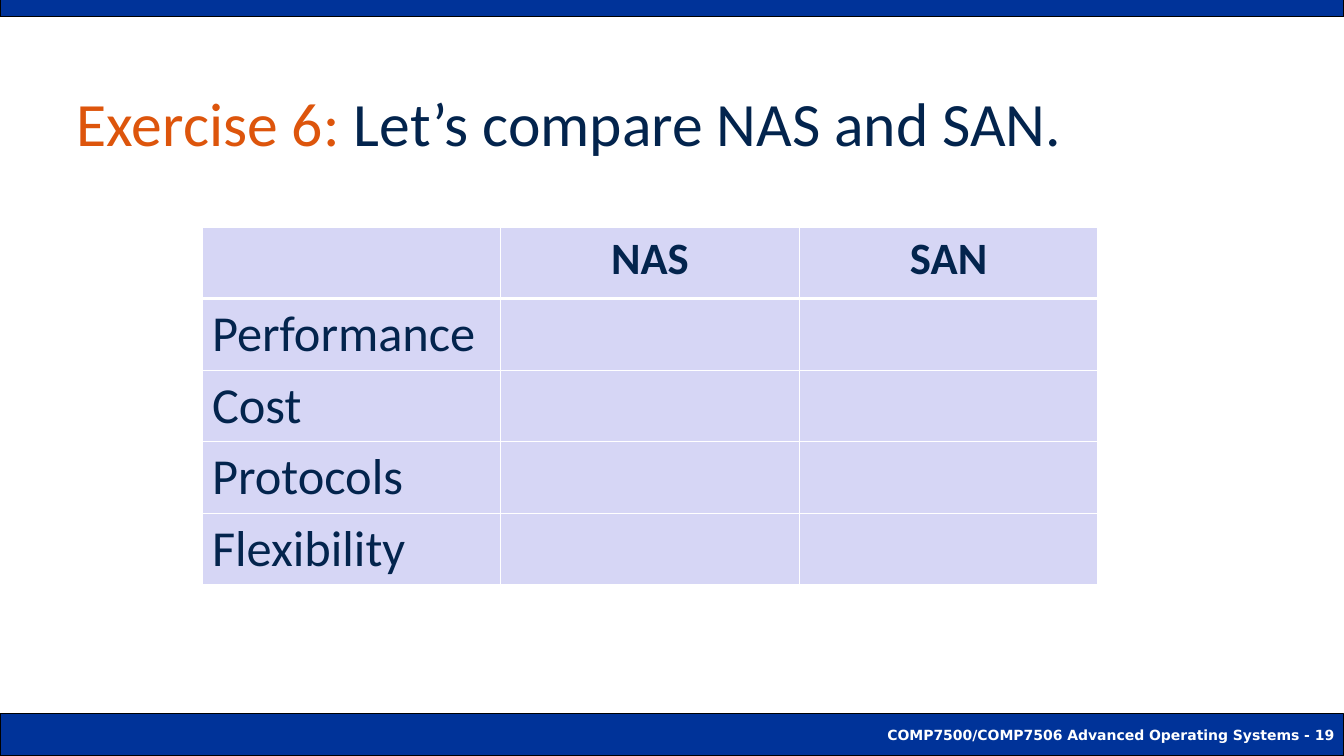
from lxml import etree
from pptx import Presentation
from pptx.dml.color import RGBColor
from pptx.enum.shapes import MSO_SHAPE
from pptx.enum.text import MSO_ANCHOR, PP_ALIGN
from pptx.oxml.ns import qn
from pptx.util import Emu, Pt

TITLE = [("Exercise 6:", "DD550C"), (" Let’s compare NAS and SAN.", "03244D")]
HEADERS = ["", "NAS", "SAN"]
ROW_LABELS = ["Performance", "Cost", "Protocols", "Flexibility"]
FOOTER = "COMP7500/COMP7506 Advanced Operating Systems - 19"

WIDTH, HEIGHT = 1344, 756
TOP_BAR_H, FOOTER_H = 17, 42
TITLE_BOX = (67, 42, 1243, 160)
TABLE_LEFT, TABLE_TOP, COL_W, ROW_H = 202, 227, 298.67, 71.6
NAVY, BAR_BLUE, CELL_FILL = "03244D", "003399", "D6D6F5"
WHITE, BLACK = "FFFFFF", "000000"
HEADER_FONT = {"name": "Calibri", "size": Pt(32), "bold": True}
LABEL_FONT = {"name": "Calibri", "size": Pt(36), "bold": False}
TITLE_FONT = {"name": "Calibri", "size": Pt(44)}
FOOTER_FONT = {"name": "DejaVu Sans", "size": Pt(10), "bold": True}


def px(n):
    return Emu(round(n * 914400 / 100.8))


def rgb(code):
    return RGBColor.from_string(code)


def add_run(p, text, color, font):
    r = p.add_run()
    r.text = text
    for key, value in font.items():
        setattr(r.font, key, value)
    r.font.color.rgb = rgb(color)


def add_bar(s, top, height):
    bar = s.shapes.add_shape(MSO_SHAPE.RECTANGLE, *map(px, (0, top, WIDTH, height)))
    bar.shadow.inherit = False
    bar.fill.solid()
    bar.fill.fore_color.rgb = rgb(BAR_BLUE)
    bar.line.color.rgb = rgb(BLACK)
    bar.line.width = Pt(0.75)
    return bar


def set_borders(cell, widths):
    """Draw white borders; widths maps the side letters L, R, T, B to points."""
    tc_pr = cell._tc.get_or_add_tcPr()
    for side, width in widths.items():
        ln = etree.SubElement(tc_pr, qn(f"a:ln{side}"), w=str(Pt(width)))
        fill = etree.SubElement(ln, qn("a:solidFill"))
        etree.SubElement(fill, qn("a:srgbClr"), val=WHITE)


def add_comparison(s):
    rows = [HEADERS] + [[label, "", ""] for label in ROW_LABELS]
    n_rows, n_cols = len(rows), len(HEADERS)
    box = (TABLE_LEFT, TABLE_TOP, COL_W * n_cols, ROW_H * n_rows)
    table = s.shapes.add_table(n_rows, n_cols, *map(px, box)).table
    table.horz_banding = table.first_row = False
    for col in table.columns:
        col.width = px(COL_W)
    for i, texts in enumerate(rows):
        table.rows[i].height = px(ROW_H)
        for j, text in enumerate(texts):
            cell = table.cell(i, j)
            set_borders(cell, {"L": 1, "R": 1, "T": 3 if i == 1 else 1, "B": 3 if i == 0 else 1})
            cell.fill.solid()
            cell.fill.fore_color.rgb = rgb(CELL_FILL)
            if text:
                p = cell.text_frame.paragraphs[0]
                p.alignment = PP_ALIGN.CENTER if i == 0 else PP_ALIGN.LEFT
                add_run(p, text, NAVY, HEADER_FONT if i == 0 else LABEL_FONT)


def main():
    prs = Presentation()
    prs.slide_width, prs.slide_height = px(WIDTH), px(HEIGHT)
    s = prs.slides.add_slide(prs.slide_layouts[6])

    tf = add_bar(s, HEIGHT - FOOTER_H, FOOTER_H).text_frame
    tf.word_wrap = True
    tf.vertical_anchor = MSO_ANCHOR.MIDDLE
    p = tf.paragraphs[0]
    p.alignment = PP_ALIGN.RIGHT
    add_run(p, FOOTER, WHITE, FOOTER_FONT)
    add_bar(s, 0, TOP_BAR_H)

    tf = s.shapes.add_textbox(*map(px, TITLE_BOX)).text_frame
    tf.word_wrap = True
    tf.vertical_anchor = MSO_ANCHOR.MIDDLE
    for text, color in TITLE:
        add_run(tf.paragraphs[0], text, color, TITLE_FONT)

    add_comparison(s)
    prs.save("out.pptx")


if __name__ == "__main__":
    main()
